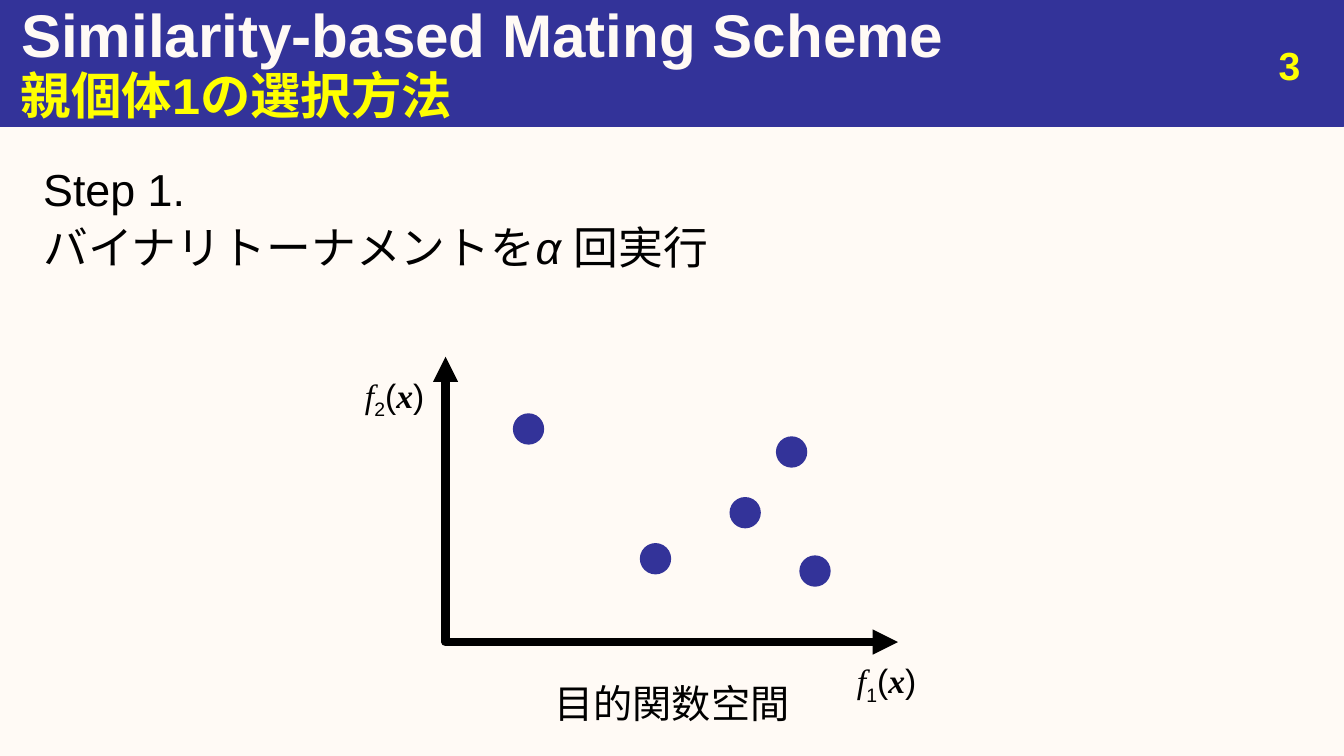
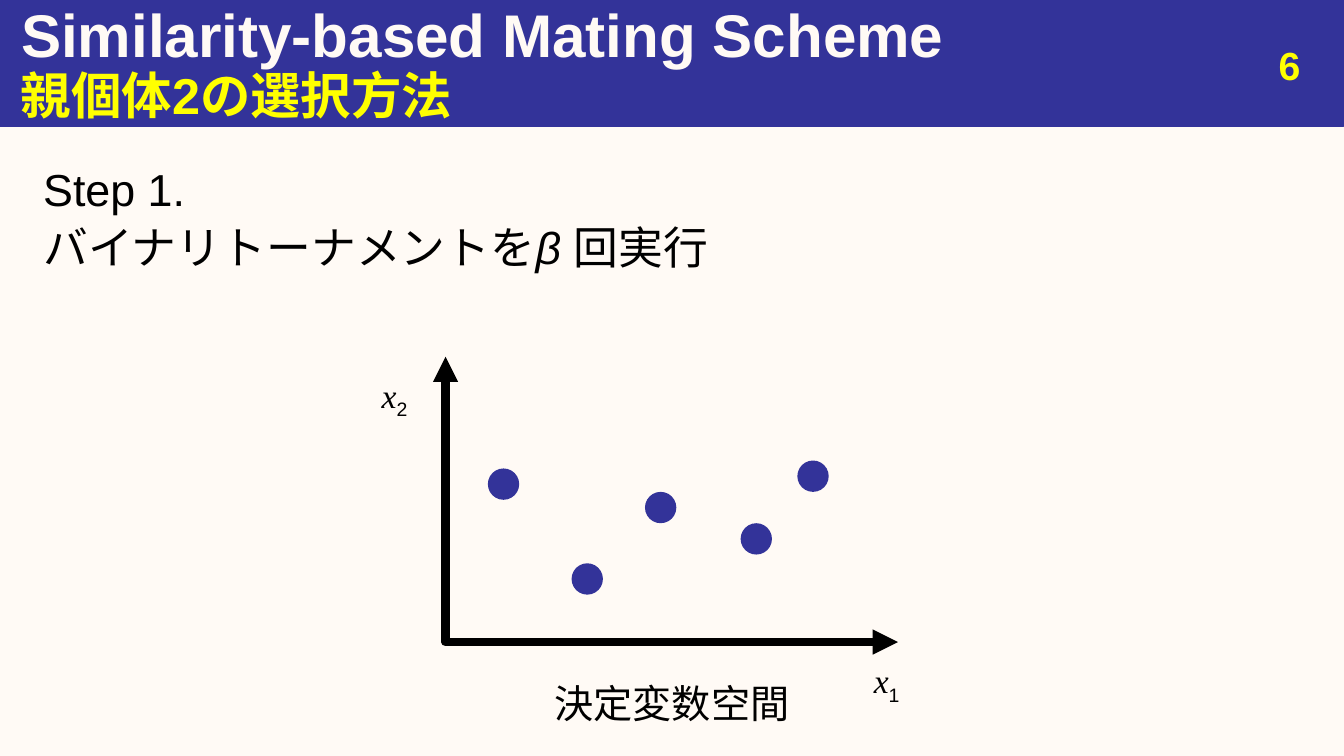
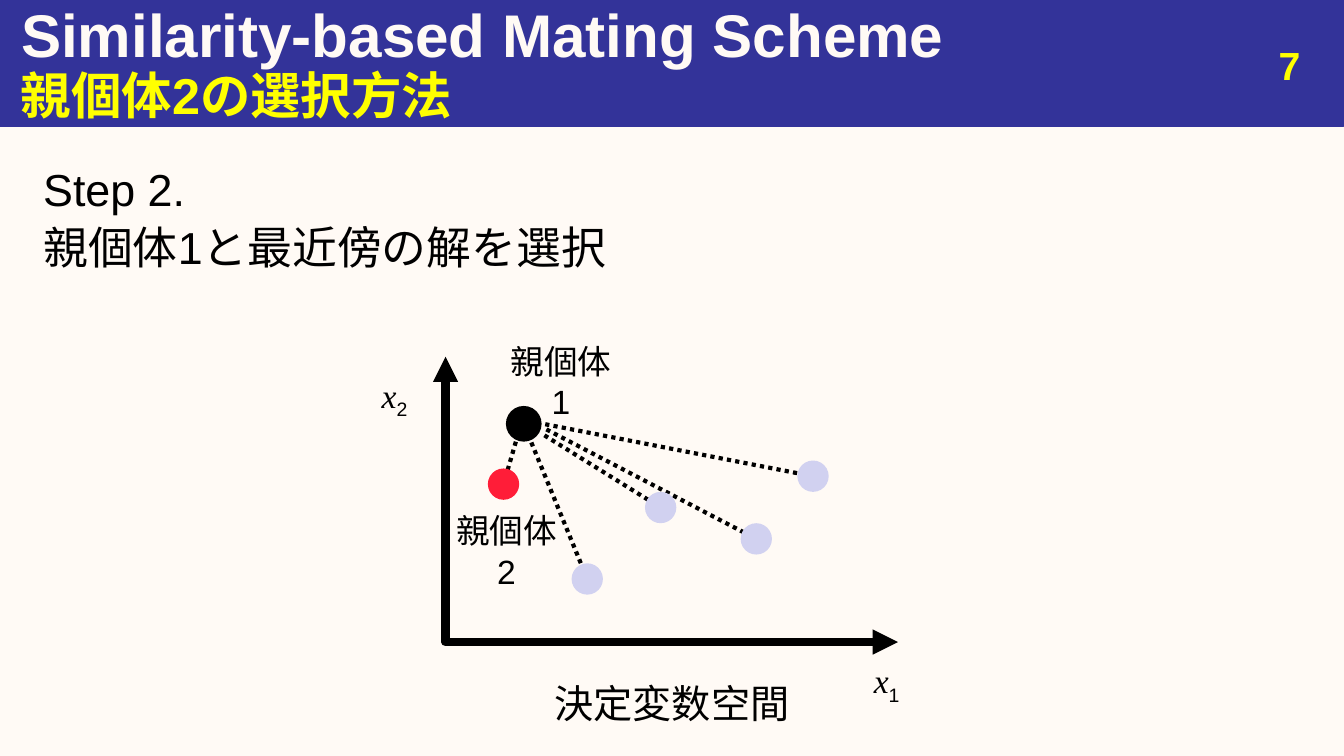
from lxml import etree
from pptx import Presentation
from pptx.dml.color import RGBColor
from pptx.enum.dml import MSO_LINE
from pptx.enum.shapes import MSO_CONNECTOR, MSO_SHAPE
from pptx.enum.text import MSO_ANCHOR, MSO_AUTO_SIZE, PP_ALIGN
from pptx.oxml.ns import qn
from pptx.util import Cm, Pt

CREAM = RGBColor(0xFF, 0xFA, 0xF5)
NAVY = RGBColor(0x33, 0x33, 0x99)
YELLOW = RGBColor(0xFF, 0xFF, 0x00)
BLACK = RGBColor(0x00, 0x00, 0x00)
RED = RGBColor(0xFF, 0x1D, 0x38)
PALE = RGBColor(0xD1, 0xD1, 0xF0)

# Run styles: italic, math (serif italic), vector (bold math), sub
PLAIN, ITALIC, MATH, VECTOR, SUB = range(5)
DOT, PARENT_DOT = 0.79, 0.9


def write(frame, lines, size, color=BLACK, align=PP_ALIGN.LEFT, bold=False, gap=0):
    """Fill a text frame; each line is a list of (text, style) runs."""
    frame.word_wrap = True
    frame.auto_size = MSO_AUTO_SIZE.NONE
    for number, line in enumerate(lines):
        paragraph = frame.add_paragraph() if number else frame.paragraphs[0]
        paragraph.alignment = align
        paragraph.space_before = Pt(gap if number else 0)
        font = paragraph.font
        font.name, font.size, font.bold = "Arial", Pt(size), bold
        font.color.rgb = color
        for text, style in line:
            run = paragraph.add_run()
            run.text = text
            if style in (ITALIC, MATH, VECTOR):
                run.font.italic = True
            if style in (MATH, VECTOR):
                run.font.name = "Times New Roman"
            if style == VECTOR:
                run.font.bold = True
            if style == SUB:
                run._r.get_or_add_rPr().set("baseline", "-25000")


def add_dot(slide, center, diameter, color):
    x, y = center
    dot = slide.shapes.add_shape(
        MSO_SHAPE.OVAL, Cm(x - diameter / 2), Cm(y - diameter / 2), Cm(diameter), Cm(diameter))
    dot.shadow.inherit = False
    dot.fill.solid()
    dot.fill.fore_color.rgb = color
    dot.line.fill.background()


# Solutions in each space, as dot centres in cm
objective_dots = [(13.32, 10.81), (20.54, 14.39), (19.95, 11.39), (18.78, 12.92), (16.52, 14.08)]
decision_dots = [(12.69, 12.2), (20.49, 12), (19.06, 13.58), (16.65, 12.79), (14.8, 14.59)]
parent_1 = (13.2, 10.68)
distance_starts = [(13, 11.13), (13.74, 10.69), (13.77, 10.82), (13.72, 10.97), (13.39, 11.15)]

objective_space = {
    "caption": "目的関数空間",
    "dots": objective_dots,
    "axes": [[("f", MATH), (index, SUB), ("(", PLAIN), ("x", VECTOR), (")", PLAIN)] for index in "12"],
}
decision_space = {
    "caption": "決定変数空間",
    "dots": decision_dots,
    "axes": [[("x", MATH), (index, SUB)] for index in "12"],
}

# Page number, subtitle, step, step description, space, dot colours, nearest-neighbour search
pages = [
    ("3", "親個体1の選択方法", "Step 1.",
     [("バイナリトーナメントを", PLAIN), ("α ", ITALIC), ("回実行", PLAIN)],
     objective_space, [NAVY] * 5, False),
    ("6", "親個体2の選択方法", "Step 1.",
     [("バイナリトーナメントを", PLAIN), ("β ", ITALIC), ("回実行", PLAIN)],
     decision_space, [NAVY] * 5, False),
    ("7", "親個体2の選択方法", "Step 2.",
     [("親個体1と最近傍の解を選択", PLAIN)],
     decision_space, [RED] + [PALE] * 4, True),
]

prs = Presentation()
prs.slide_width, prs.slide_height = Cm(33.87), Cm(19.05)
background = prs.slide_master.background.fill
background.solid()
background.fore_color.rgb = CREAM

for page_number, subtitle, step, description, space, dot_colors, searching in pages:
    slide = prs.slides.add_slide(prs.slide_layouts[5])
    shapes = slide.shapes

    # Header band, behind the title
    band = shapes.add_shape(MSO_SHAPE.RECTANGLE, 0, 0, prs.slide_width, Cm(3.18))
    band.shadow.inherit = False
    band.fill.solid()
    band.fill.fore_color.rgb = NAVY
    band.line.color.rgb = NAVY
    band.line.width = Pt(0.75)
    title = shapes.title
    title._element.addprevious(band._element)

    # Title, subtitle and page number
    title.left, title.top, title.width, title.height = Cm(0.28), 0, Cm(33.58), Cm(1.7)
    title.text_frame.vertical_anchor = MSO_ANCHOR.MIDDLE
    write(title.text_frame, [[("Similarity-based Mating Scheme", PLAIN)]], 43, CREAM, bold=True)
    topic = shapes.add_textbox(Cm(0.28), Cm(1.57), Cm(33.58), Cm(1.6)).text_frame
    topic.vertical_anchor = MSO_ANCHOR.MIDDLE
    write(topic, [[(subtitle, PLAIN)]], 36, YELLOW, bold=True)
    page = shapes.add_textbox(Cm(25.12), Cm(0.91), Cm(7.9), Cm(1.32)).text_frame
    write(page, [[(page_number, PLAIN)]], 28, YELLOW, PP_ALIGN.RIGHT, bold=True)

    # Step description
    steps = shapes.add_textbox(Cm(0.84), Cm(3.94), Cm(32.18), Cm(4)).text_frame
    write(steps, [[(step, PLAIN)], description], 32, align=PP_ALIGN.JUSTIFY, gap=3.6)

    # Distances from parent 1, ending under the dots
    if searching:
        for (x1, y1), (x2, y2) in zip(distance_starts, space["dots"]):
            distance = shapes.add_connector(MSO_CONNECTOR.STRAIGHT, Cm(x1), Cm(y1), Cm(x2), Cm(y2))
            distance.line.color.rgb = BLACK
            distance.line.width = Pt(3)
            distance.line.dash_style = MSO_LINE.ROUND_DOT
            etree.SubElement(distance._element.spPr, qn("a:effectLst"))

    # Axes with an arrowhead at both ends
    outline = shapes.build_freeform(Cm(11.23), Cm(8.99))
    outline.add_line_segments([(Cm(11.23), Cm(16.18)), (Cm(22.63), Cm(16.18))], close=False)
    axes = outline.convert_to_shape()
    axes.shadow.inherit = False
    axes.fill.background()
    axes.line.color.rgb = BLACK
    axes.line.width = Pt(6)
    stroke = axes.line._get_or_add_ln()
    etree.SubElement(stroke, qn("a:round"))
    for end in ("a:headEnd", "a:tailEnd"):
        etree.SubElement(stroke, qn(end), type="triangle")

    # Axis labels and caption
    for label, (x, y) in zip(space["axes"], [(20.35, 16.51), (7.95, 9.32)]):
        axis_label = shapes.add_textbox(Cm(x), Cm(y), Cm(3.99), Cm(1.27)).text_frame
        write(axis_label, [label], 24, align=PP_ALIGN.CENTER)
    caption = shapes.add_textbox(Cm(13.39), Cm(16.99), Cm(7.09), Cm(1.45)).text_frame
    write(caption, [[(space["caption"], PLAIN)]], 28, align=PP_ALIGN.CENTER)

    # Solutions
    for center, color in zip(space["dots"], dot_colors):
        add_dot(slide, center, DOT, color)

    # Both parents
    if searching:
        add_dot(slide, parent_1, PARENT_DOT, BLACK)
        for index, x, y in [("1", 12.14, 8.46), ("2", 10.77, 12.73)]:
            parent = shapes.add_textbox(Cm(x), Cm(y), Cm(3.99), Cm(2.31)).text_frame
            write(parent, [[("親個体", PLAIN)], [(index, PLAIN)]], 24, align=PP_ALIGN.CENTER)

prs.save("out.pptx")
